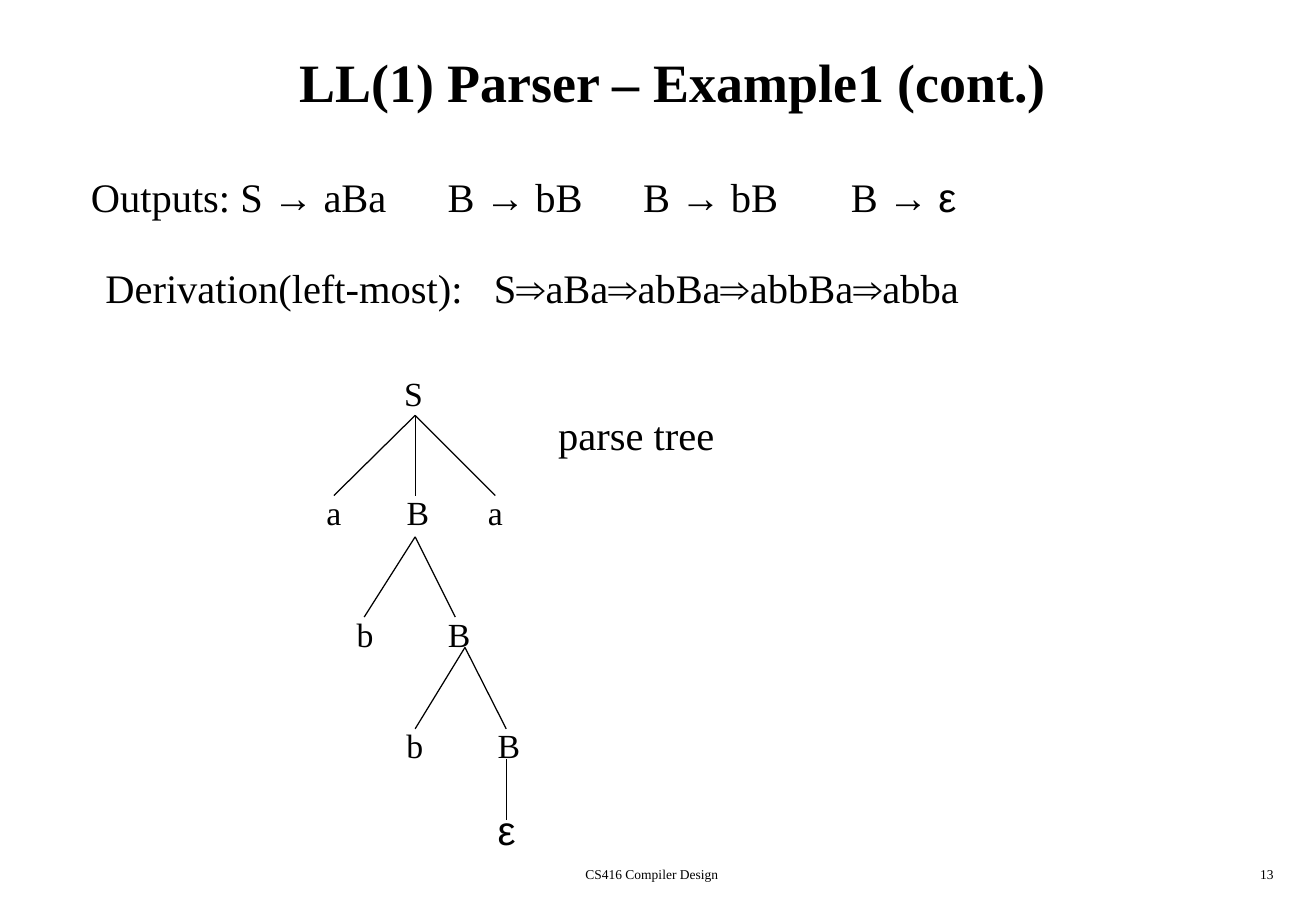
"""Build the LL(1) parser example slide with its derivation and parse tree."""
from itertools import groupby

from lxml import etree
from pptx import Presentation
from pptx.dml.color import RGBColor
from pptx.enum.shapes import MSO_CONNECTOR
from pptx.enum.text import MSO_ANCHOR, MSO_AUTO_SIZE, PP_ALIGN
from pptx.oxml.ns import qn
from pptx.util import Inches, Pt

LEFT, CENTER, RIGHT = PP_ALIGN.LEFT, PP_ALIGN.CENTER, PP_ALIGN.RIGHT
MIDDLE = MSO_ANCHOR.MIDDLE
NO_FIT = MSO_AUTO_SIZE.NONE
STRAIGHT = MSO_CONNECTOR.STRAIGHT

TITLE = "LL(1) Parser – Example1 (cont.)"
TITLE_FRAME = (0.42, 0.17, 10.25, 1)

STATEMENTS = [
    ("Outputs: S → aBa\tB → bB\tB → bB\tB → ε", (0.65, 1.37, 8.2, 0.5), [2.94, 4.55, 6.26]),
    ("Derivation(left-most):\tS⇒aBa⇒abBa⇒abbBa⇒abba", (0.77, 2.12, 7.6, 0.5), [3.2]),
    ("parse tree", (4.5, 3.33, 1.7, 0.5), []),
]
FOOTERS = [
    ("CS416 Compiler Design", (3.34, 7.08, 4.06, 0.25), CENTER),
    ("13", (8.33, 7.08, 2.26, 0.25), RIGHT),
]

TREE_LEVELS = [
    (3.02, [("S", 3.23)]),
    (4, [("a", 2.59), ("B", 3.25), ("a", 3.92)]),
    (5, [("b", 2.84), ("B", 3.59)]),
    (5.92, [("b", 3.25), ("B", 4)]),
    (6.58, [("ε", 4)]),
]
NODE_WIDTHS = {"S": 0.35, "B": 0.38, "a": 0.32, "b": 0.34, "ε": 0.34}
BRANCHES = [
    ((3.42, 3.42), 4.08, [2.75, 3.42, 4.08]),
    ((3.42, 4.42), 5.08, [3, 3.75]),
    ((3.83, 5.33), 6, [3.42, 4.17]),
    ((4.17, 6.25), 6.75, [4.17]),
]

SYMBOLS = "→⇒ε"
THEME = {
    "ink": RGBColor(0, 0, 0),
    "text_font": "Times New Roman",
    "symbol_font": "Arial",
    "title": Pt(32),
    "body": Pt(24),
    "node": Pt(20),
    "footer": Pt(8),
    "branch": Pt(0.75),
}


def add_tab_stops(paragraph, stops):
    if stops:
        tab_list = etree.SubElement(paragraph._p.get_or_add_pPr(), qn("a:tabLst"))
        for stop in stops:
            etree.SubElement(tab_list, qn("a:tab"), pos=str(Inches(stop)), algn="l")


def write(frame, wording, size, align=LEFT, stops=(), bold=False):
    paragraph = frame.paragraphs[0]
    paragraph.alignment = align
    add_tab_stops(paragraph, stops)
    for is_symbol, letters in groupby(wording, lambda letter: letter in SYMBOLS):
        run = paragraph.add_run()
        run.text = "".join(letters)
        run.font.name = THEME["symbol_font" if is_symbol else "text_font"]
        run.font.size = THEME[size]
        run.font.bold = bold
        run.font.color.rgb = THEME["ink"]


def add_label(slide, wording, bounds, size, align=LEFT, stops=(), wrap=True):
    frame = slide.shapes.add_textbox(*map(Inches, bounds)).text_frame
    frame.word_wrap = wrap
    write(frame, wording, size, align, stops)


def add_title(slide):
    title = slide.shapes.title
    title.left, title.top, title.width, title.height = map(Inches, TITLE_FRAME)
    title.text_frame.auto_size = NO_FIT
    title.text_frame.vertical_anchor = MIDDLE
    write(title.text_frame, TITLE, "title", CENTER, bold=True)


def add_tree(slide):
    for apex, end_y, ends in BRANCHES:
        for end_x in ends:
            branch = slide.shapes.add_connector(STRAIGHT, *map(Inches, (*apex, end_x, end_y)))
            branch.line.color.rgb = THEME["ink"]
            branch.line.width = THEME["branch"]
            etree.SubElement(branch._element.spPr, qn("a:effectLst"))
    for top, nodes in TREE_LEVELS:
        for symbol, left in nodes:
            size, height = ("body", 0.5) if symbol in SYMBOLS else ("node", 0.44)
            bounds = (left, top, NODE_WIDTHS[symbol], height)
            add_label(slide, symbol, bounds, size, wrap=False)


def main():
    deck = Presentation()
    deck.slide_width, deck.slide_height = Inches(10.84), Inches(7.5)
    slide = deck.slides.add_slide(deck.slide_layouts[5])
    add_title(slide)
    for wording, bounds, stops in STATEMENTS:
        add_label(slide, wording, bounds, "body", stops=stops)
    add_tree(slide)
    for wording, bounds, align in FOOTERS:
        add_label(slide, wording, bounds, "footer", align)
    deck.save("out.pptx")


if __name__ == "__main__":
    main()
